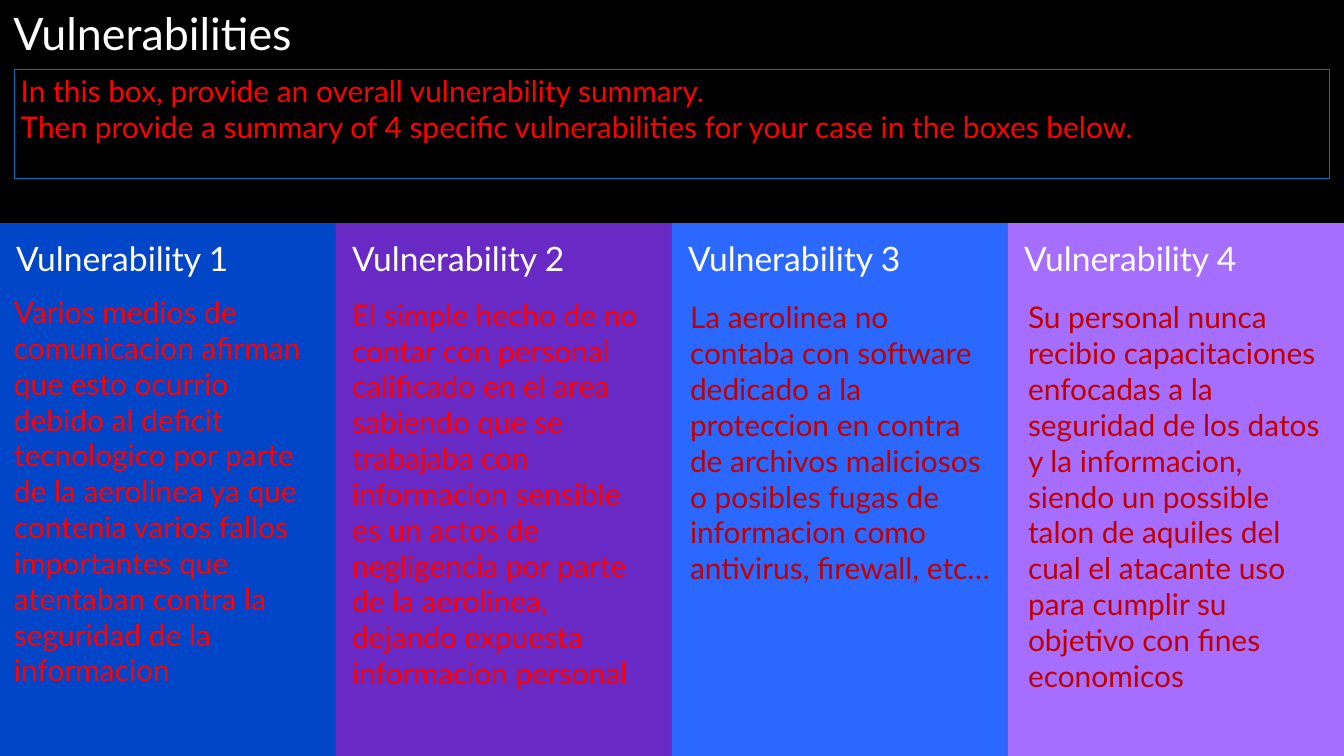
from dataclasses import dataclass

from pptx import Presentation
from pptx.dml.color import RGBColor
from pptx.enum.shapes import MSO_SHAPE
from pptx.enum.text import MSO_ANCHOR, PP_ALIGN
from pptx.util import Inches, Pt


@dataclass(frozen=True)
class Theme:
    font: str = "Lato"
    title_size: int = 48
    heading_size: int = 36
    body_size: int = 32
    background: str = "000000"
    light: str = "FFFFFF"
    red: str = "FF0000"
    dark_red: str = "C00000"
    outline: str = "0070C0"
    panels: tuple = ("0146C9", "6929C4", "2B68FF", "A56EFF")


THEME = Theme()

SUMMARY = [
    "In this box, provide an overall vulnerability summary.",
    "Then provide a summary of 4 specific vulnerabilities for your case in the boxes below.",
]

VULNERABILITIES = [
    ("Varios medios de comunicacion afirman que esto ocurrio debido al deficit "
     "tecnologico por parte de la aerolinea ya que contenia varios fallos "
     "importantes que atentaban contra la seguridad de la informacion",
     THEME.red, 4.32, 6.02),
    ("El simple hecho de no contar con personal calificado en el area sabiendo "
     "que se trabajaba con informacion sensible es un actos de negligencia por "
     "parte de la aerolinea, dejando expuesta informacion personal",
     THEME.red, 4.36, 6.02),
    ("La aerolinea no contaba con software dedicado a la proteccion en contra de "
     "archivos maliciosos o posibles fugas de informacion como antivirus, "
     "firewall, etc…",
     THEME.dark_red, 4.4, 4.95),
    ("Su personal nunca recibio capacitaciones enfocadas a la seguridad de los "
     "datos y la informacion, siendo un possible talon de aquiles del cual el "
     "atacante uso para cumplir su objetivo con fines economicos",
     THEME.dark_red, 4.4, 6.02),
]

PANEL_WIDTH = 5
PANEL_TOP = 3.32
PANEL_HEIGHT = 7.93
DESCRIPTION_LEFT = 0.11
DESCRIPTION_STEP = 5.03


def write(shape, lines, size, color, insets=(0.1, 0.05, 0.1, 0.05), line_spacing=None):
    frame = shape.text_frame
    frame.word_wrap = True
    frame.vertical_anchor = MSO_ANCHOR.TOP
    (frame.margin_left, frame.margin_top,
     frame.margin_right, frame.margin_bottom) = map(Inches, insets)
    for index, line in enumerate(lines):
        paragraph = frame.add_paragraph() if index else frame.paragraphs[0]
        paragraph.alignment = PP_ALIGN.LEFT
        paragraph.line_spacing = line_spacing
        run = paragraph.add_run()
        run.text = line
        run.font.name = THEME.font
        run.font.size = Pt(size)
        run.font.color.rgb = RGBColor.from_string(color)


def add_text(slide, area, lines, size, color, **layout):
    write(slide.shapes.add_textbox(*map(Inches, area)), lines, size, color, **layout)


def add_box(slide, area, fill=None, outline=None):
    box = slide.shapes.add_shape(MSO_SHAPE.RECTANGLE, *map(Inches, area))
    box.shadow.inherit = False
    if fill:
        box.fill.solid()
        box.fill.fore_color.rgb = RGBColor.from_string(fill)
    else:
        box.fill.background()
    if outline:
        box.line.color.rgb = RGBColor.from_string(outline)
        box.line.width = Pt(0.75)
    else:
        box.line.fill.background()
    return box


def add_panel(slide, index, color):
    panel = add_box(slide, (index * PANEL_WIDTH, PANEL_TOP, PANEL_WIDTH, PANEL_HEIGHT), fill=color)
    write(panel, [f"Vulnerability {index + 1}"], THEME.heading_size, THEME.light,
          insets=(0.24, 0.22, 0.25, 0.25))


def add_description(slide, index, text, color, top, height):
    left = DESCRIPTION_LEFT + index * DESCRIPTION_STEP
    add_text(slide, (left, top, 4.7, height), [text], THEME.body_size, color)


def main():
    presentation = Presentation()
    presentation.slide_width = Inches(20)
    presentation.slide_height = Inches(11.25)
    slide = presentation.slides.add_slide(presentation.slide_layouts[6])
    slide.background.fill.solid()
    slide.background.fill.fore_color.rgb = RGBColor.from_string(THEME.background)

    add_text(slide, (0, 0, 20, 3.11), ["Vulnerabilities"], THEME.title_size, THEME.light,
             insets=(0.2, 0.18, 0.25, 0.25), line_spacing=0.9)
    for index, color in enumerate(THEME.panels):
        add_panel(slide, index, color)
    summary = add_box(slide, (0.21, 1.03, 19.57, 1.63), outline=THEME.outline)
    write(summary, SUMMARY, THEME.body_size, THEME.red)
    for index, vulnerability in enumerate(VULNERABILITIES):
        add_description(slide, index, *vulnerability)

    presentation.save("out.pptx")


if __name__ == "__main__":
    main()
